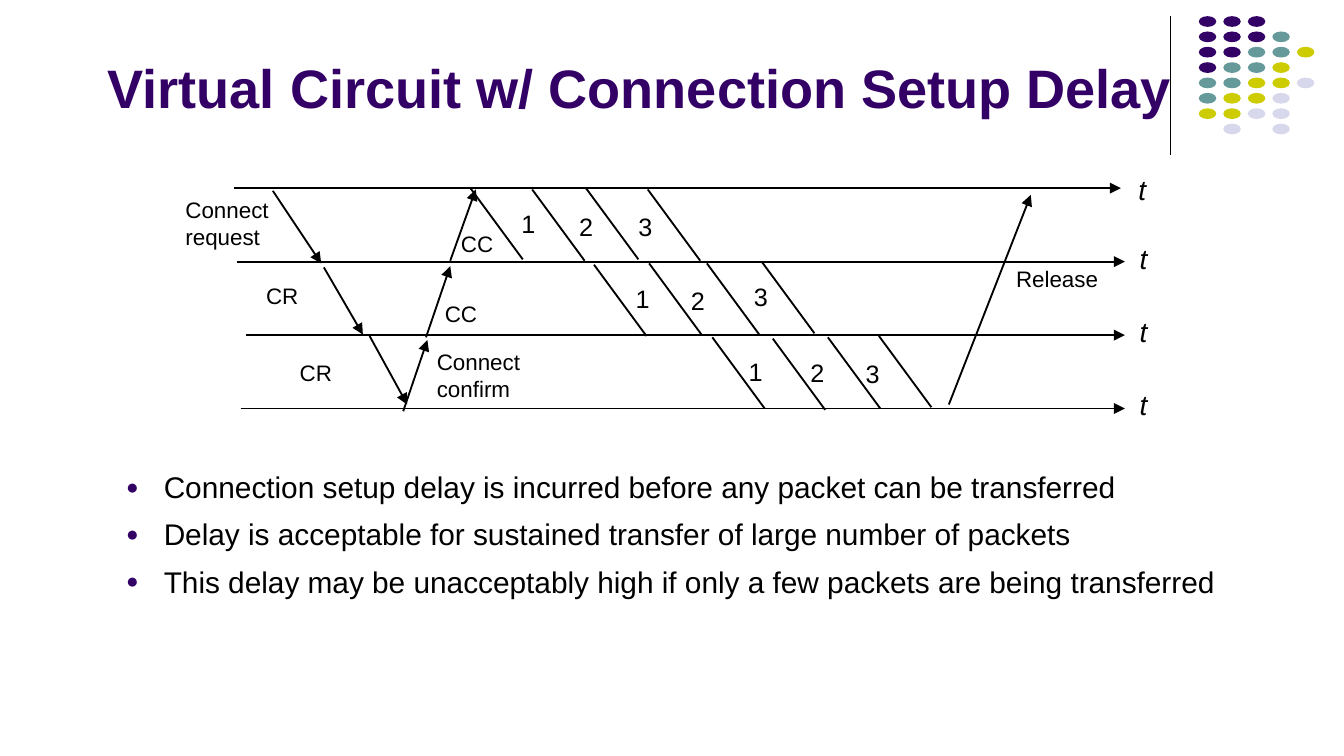
from pptx import Presentation
from pptx.dml.color import RGBColor
from pptx.enum.shapes import MSO_CONNECTOR, MSO_SHAPE
from pptx.enum.text import MSO_ANCHOR, MSO_AUTO_SIZE, PP_ALIGN
from pptx.oxml.ns import qn
from pptx.util import Inches, Pt
from lxml import etree

LINE, OVAL = MSO_CONNECTOR.STRAIGHT, MSO_SHAPE.OVAL
LEFT, TOP, BOTTOM = PP_ALIGN.LEFT, MSO_ANCHOR.TOP, MSO_ANCHOR.BOTTOM
NO_FIT = MSO_AUTO_SIZE.NONE
FONT, BLACK, PURPLE = "Arial", "000000", "330066"

TITLE = "Virtual Circuit w/ Connection Setup Delay"
POINTS = [
    "Connection setup delay is incurred before any packet can be transferred",
    "Delay is acceptable for sustained transfer of large number of packets",
    "This delay may be unacceptably high if only a few packets are being transferred",
]

# Decoration: one letter per dot, one string per row
DOTS = ["PPP", "PPPT", "PPTTY", "PTTY", "TTYYL", "TYYL", "YYLL", " L L"]
HUES = {"P": PURPLE, "T": "669999", "Y": "CCCC00", "L": "D8D8EC"}
DOT_X, DOT_Y, DOT_W, DOT_H = 8.92, 0.12, 0.13, 0.08
STEP_X, STEP_Y = 0.73 / 4, 0.8 / 7

# Time axes: start x, end x, label x, label y
AXES = [(1.74, 8.34, 8.40, 1.24), (1.76, 8.37, 8.41, 1.76),
        (1.83, 8.37, 8.41, 2.30), (1.79, 8.37, 8.41, 2.84)]
AXIS_Y, HOP = 1.40, 1.64 / 3

# Packets on each hop: edges of the packets, then places of the numbers
HOPS = [
    ([(3.50, 1.40), (3.96, 1.41), (4.36, 1.40), (4.82, 1.41)],
     [(3.81, 1.51), (4.24, 1.53), (4.68, 1.53)]),
    ([(4.42, 1.97), (4.83, 1.96), (5.26, 1.96), (5.67, 1.95)],
     [(4.66, 2.07), (5.07, 2.08), (5.54, 2.05)]),
    ([(5.30, 2.51), (5.75, 2.52), (6.16, 2.51), (6.54, 2.50)],
     [(5.50, 2.61), (5.96, 2.62), (6.37, 2.63)]),
]
EDGE_W, EDGE_H = 0.39, 0.53

# Signals: from x, y, to x, y
SIGNALS = [
    (2.03, 1.42, 2.39, 1.96), (2.41, 1.99, 2.70, 2.49), (2.75, 2.50, 3.03, 3.01),
    (3.00, 3.06, 3.18, 2.53), (3.17, 2.51, 3.35, 1.98), (3.35, 1.94, 3.54, 1.41),
    (7.06, 3.01, 7.67, 1.45),
]
# Labels: text, box, line spacing
LABELS = [
    ("Connect request", (1.31, 1.42, 0.83, 0.48), 1),
    ("CR", (1.91, 2.06, 0.40, 0.28), 1),
    ("CR", (2.16, 2.63, 0.46, 0.28), 1),
    ("Connect confirm", (3.18, 2.55, 0.88, 0.48), 1),
    ("CC", (3.24, 2.19, 0.46, 0.28), 1),
    ("CC", (3.36, 1.67, 0.46, 0.28), 1),
    ("Release", (7.49, 1.98, 0.76, 0.23), 0.75),
]


def tint(hue):
    """Turn a hex string into a colour."""
    return RGBColor.from_string(hue)


def write(para, text, size, hue=BLACK, bold=False, slant=False):
    """Add one formatted run to a paragraph."""
    run = para.add_run()
    run.text = text
    font = run.font
    font.name, font.size, font.bold, font.italic = FONT, Pt(size), bold, slant
    font.color.rgb = tint(hue)


def label(text, box, size, wrap=False, slant=False, gap=1):
    """Place a short text on the diagram."""
    frame = slide.shapes.add_textbox(*map(Inches, box)).text_frame
    frame.word_wrap = wrap
    frame.margin_left = frame.margin_right = Inches(0.07)
    frame.margin_top = frame.margin_bottom = Inches(0.04)
    para = frame.paragraphs[0]
    para.line_spacing = gap
    write(para, text, size, slant=slant)


def rule(x1, y1, x2, y2, arrow=False, width=1):
    """Draw a line, with an arrowhead at its end if asked."""
    line = slide.shapes.add_connector(LINE, *map(Inches, (x1, y1, x2, y2)))
    line.line.color.rgb = tint(BLACK)
    line.line.width = Pt(width)
    props = line._element.spPr
    if arrow:
        etree.SubElement(props.find(qn("a:ln")), qn("a:tailEnd"), type="triangle")
    etree.SubElement(props, qn("a:effectLst"))


def dot(x, y, hue):
    """Draw one dot of the corner pattern."""
    shape = slide.shapes.add_shape(OVAL, *map(Inches, (x, y, DOT_W, DOT_H)))
    shape.shadow.inherit = False
    shape.fill.solid()
    shape.fill.fore_color.rgb = tint(hue)
    shape.line.fill.background()


def bullet(para):
    """Give a paragraph a hanging round bullet."""
    props = para._p.get_or_add_pPr()
    props.set("marL", str(Inches(0.28)))
    props.set("indent", str(-Inches(0.28)))
    color = etree.SubElement(props, qn("a:buClr"))
    etree.SubElement(color, qn("a:srgbClr"), val=PURPLE)
    etree.SubElement(props, qn("a:buSzPct"), val="70000")
    etree.SubElement(props, qn("a:buFont"), typeface=FONT)
    etree.SubElement(props, qn("a:buChar"), char="●")


deck = Presentation()
deck.slide_width = Inches(10)
deck.slide_height = deck.slide_width * 9 // 16
slide = deck.slides.add_slide(deck.slide_layouts[5])

title = slide.shapes.title
title.left, title.top, title.width, title.height = map(Inches, (0.7, 0.1, 8.24, 0.84))
frame = title.text_frame
frame.vertical_anchor, frame.auto_size, frame.word_wrap = BOTTOM, NO_FIT, True
frame.paragraphs[0].alignment = LEFT
write(frame.paragraphs[0], TITLE, 29, PURPLE, bold=True)

rule(8.71, 0.12, 8.71, 1.15, width=0.75)
for row, marks in enumerate(DOTS):
    for col, mark in enumerate(marks):
        if mark in HUES:
            dot(DOT_X + col * STEP_X, DOT_Y + row * STEP_Y, HUES[mark])

for row, (start, end, x, y) in enumerate(AXES):
    level = AXIS_Y + row * HOP
    rule(start, level, end, level, arrow=True)
    label("t", (x, y, 0.21, 0.33), 15, slant=True)

for edges, spots in HOPS:
    for x, y in edges:
        rule(x, y, x + EDGE_W, y + EDGE_H)
    for num, (x, y) in enumerate(spots, 1):
        label(str(num), (x, y, 0.26, 0.3), 13.5)

for ends in SIGNALS:
    rule(*ends, arrow=True)
for text, box, gap in LABELS:
    label(text, box, 12, wrap=gap == 1, gap=gap)

body = slide.shapes.add_textbox(*map(Inches, (0.84, 3.47, 8.41, 1.25))).text_frame
body.word_wrap, body.vertical_anchor = True, TOP
for num, text in enumerate(POINTS):
    para = body.add_paragraph() if num else body.paragraphs[0]
    para.line_spacing, para.space_before = 0.9, Pt(8 if num else 0)
    bullet(para)
    write(para, text, 16)

deck.save("out.pptx")
